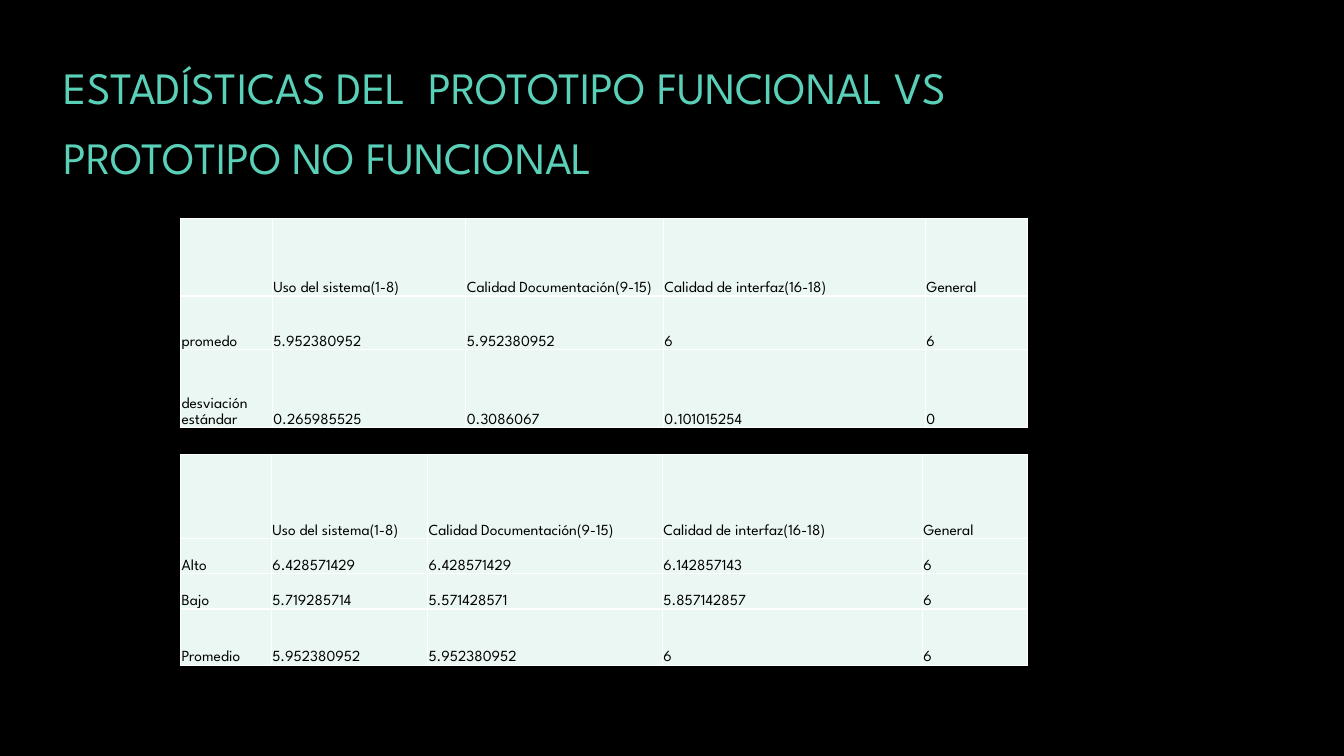
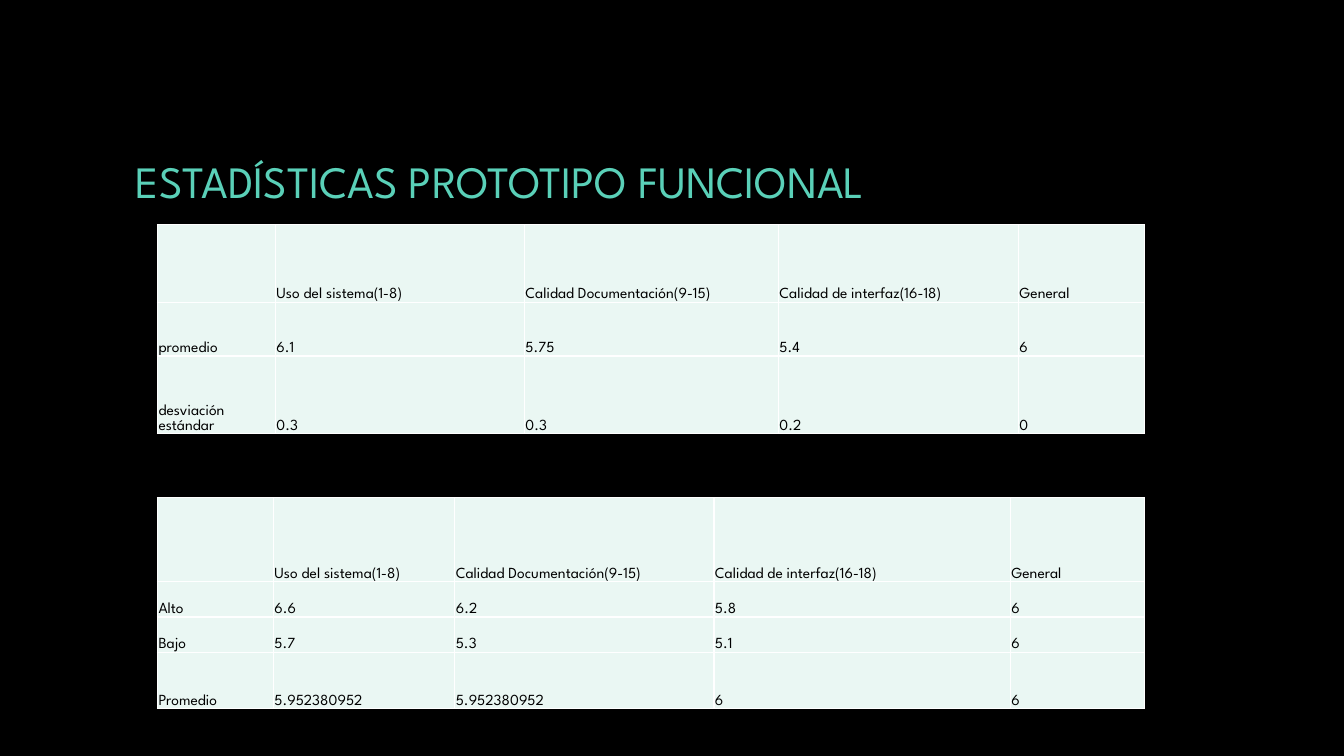
import pptx
import pptx.dml.color
import pptx.enum.text
import pptx.oxml
import pptx.oxml.ns
import pptx.util

WIDE, HIGH = pptx.util.Inches(13.33), pptx.util.Inches(7.5)
COLS, ROWS = 160, 90
FONT = "League Spartan"
BLACK, MINT, PALE, WHITE = "000000", "5AD0B8", "EAF7F3", "FFFFFF"
BOTTOM = pptx.enum.text.MSO_ANCHOR.BOTTOM
MIDDLE = pptx.enum.text.MSO_ANCHOR.MIDDLE
HEAD = ["", "Uso del sistema(1-8)", "Calidad Documentación(9-15)",
        "Calidad de interfaz(16-18)", "General"]
MEAN_ROWS = [9.25, 6.4, 9.25]
RANGE_ROWS = [10, 4.2, 4.2, 6.7]
MEANS = ["Promedio", "5.952380952", "5.952380952", "6", "6"]


def across(cols):
    return round(WIDE * cols / COLS)


def down(rows):
    return round(HIGH * rows / ROWS)


def color(code):
    return pptx.dml.color.RGBColor.from_string(code)


def paint(fill, code):
    fill.solid()
    fill.fore_color.rgb = color(code)


def style(par, size, code, space):
    par.line_spacing = space
    for run in par.runs:
        run.font.name = FONT
        run.font.size = pptx.util.Pt(size)
        run.font.bold = False
        run.font.color.rgb = color(code)


def add_title(slide, text, left, top):
    box = slide.shapes.add_textbox(across(left), down(top), across(130), down(25))
    frame = box.text_frame
    frame.word_wrap = True
    frame.vertical_anchor = MIDDLE
    frame.text = text
    style(frame.paragraphs[0], 32, MINT, 1.3)


def add_edges(cell):
    props = cell._tc.get_or_add_tcPr()
    for side in "LRTB":
        props.append(pptx.oxml.parse_xml(
            f'<a:ln{side} {pptx.oxml.ns.nsdecls("a")} w="12700"><a:solidFill>'
            f'<a:srgbClr val="{WHITE}"/></a:solidFill></a:ln{side}>'))


def fill_cell(cell, text):
    add_edges(cell)
    paint(cell.fill, PALE)
    cell.vertical_anchor = BOTTOM
    cell.margin_left = cell.margin_right = cell.margin_top = pptx.util.Inches(0.01)
    cell.margin_bottom = 0
    if text:
        cell.text = text
        par = cell.text_frame.paragraphs[0]
        par.space_after = pptx.util.Pt(8)
        style(par, 11, BLACK, 1.07)


def add_grid(slide, left, top, width, parts, heights, body):
    data = [HEAD] + body
    frame = slide.shapes.add_table(len(data), len(HEAD), across(left), down(top),
                                   across(width), down(sum(heights)))
    table = frame.table
    table.first_row = table.horz_banding = False
    for col, part in zip(table.columns, parts):
        col.width = across(width * part / sum(parts))
    for row, height, texts in zip(table.rows, heights, data):
        row.height = down(height)
        for cell, text in zip(row.cells, texts):
            fill_cell(cell, text)


def main():
    deck = pptx.Presentation()
    deck.slide_width, deck.slide_height = WIDE, HIGH
    paint(deck.slide_master.background.fill, BLACK)
    blank = deck.slide_layouts[6]

    slide = deck.slides.add_slide(blank)
    add_title(slide, "ESTADÍSTICAS DEL  PROTOTIPO FUNCIONAL VS PROTOTIPO NO FUNCIONAL", 6.4, 1)
    add_grid(slide, 21.5, 54.1, 100.8, [0.9, 1.55, 2.33, 2.58, 1.04], RANGE_ROWS, [
        ["Alto", "6.428571429", "6.428571429", "6.142857143", "6"],
        ["Bajo", "5.719285714", "5.571428571", "5.857142857", "6"],
        MEANS])
    add_grid(slide, 21.5, 26, 100.8, [0.91, 1.92, 1.96, 2.6, 1.01], MEAN_ROWS, [
        ["promedo", "5.952380952", "5.952380952", "6", "6"],
        ["desviación estándar", "0.265985525", "0.3086067", "0.101015254", "0"]])

    slide = deck.slides.add_slide(blank)
    add_title(slide, "ESTADÍSTICAS PROTOTIPO FUNCIONAL", 15, 8)
    add_grid(slide, 18.75, 59.25, 117.5, [1.15, 1.8, 2.57, 2.94, 1.33], RANGE_ROWS, [
        ["Alto", "6.6", "6.2", "5.8", "6"],
        ["Bajo", "5.7", "5.3", "5.1", "6"],
        MEANS])
    add_grid(slide, 18.75, 26.75, 117.5, [1.17, 2.47, 2.52, 2.38, 1.25], MEAN_ROWS, [
        ["promedio", "6.1", "5.75", "5.4", "6"],
        ["desviación estándar", "0.3", "0.3", "0.2", "0"]])

    deck.save("out.pptx")


if __name__ == "__main__":
    main()
